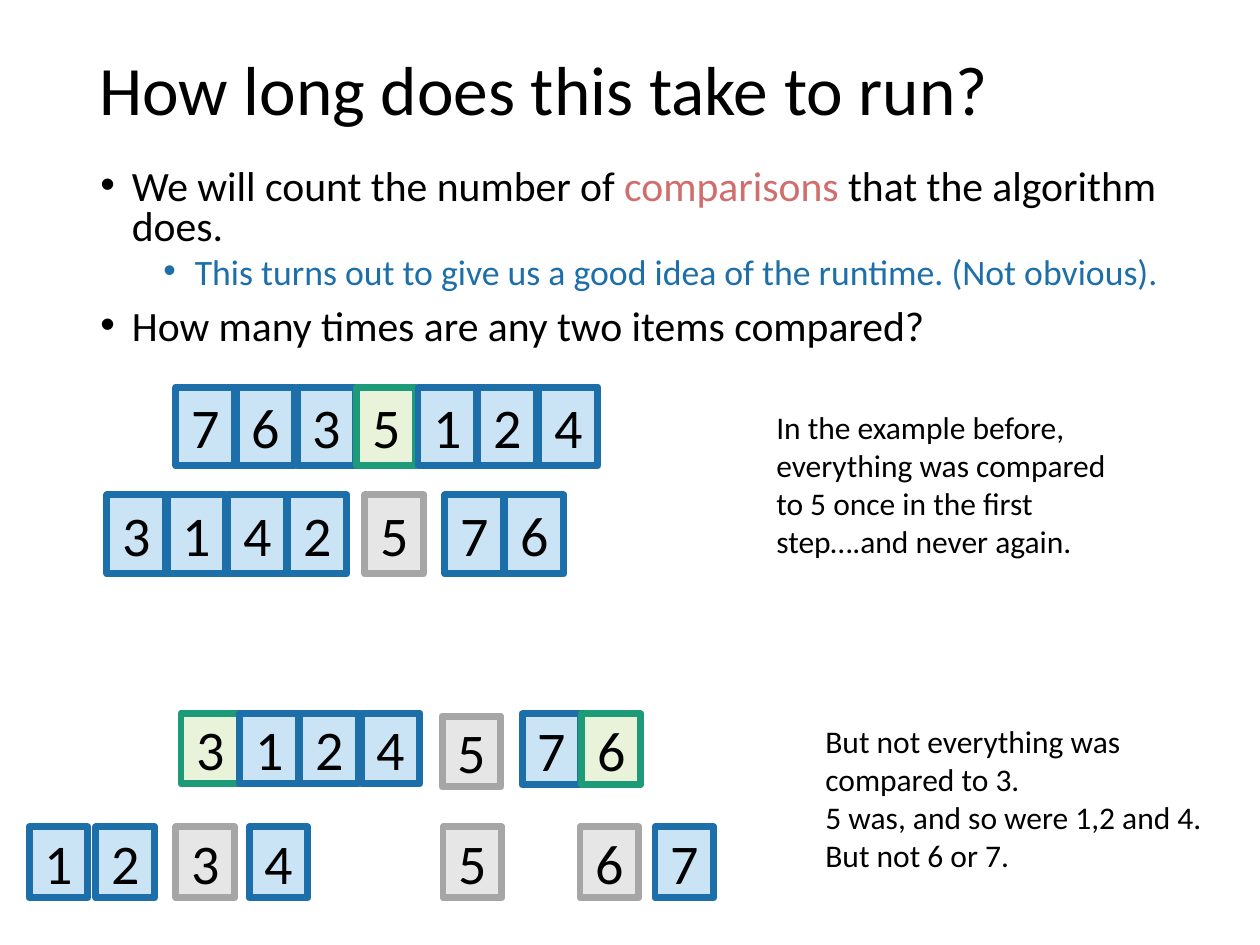
import pptx
import pptx.dml.color
import pptx.enum.shapes
import pptx.enum.text
import pptx.oxml.ns
import pptx.util
from lxml import etree

PX = 7257.6
THEME = {
    "font": "Calibri",
    "color": {"text": "000000", "accent": "CF6E6C", "note": "1D6FA9"},
    "cell": {
        "plain": ("CAE4F6", "1D6FA9"),
        "pivot": ("E8F3DA", "1D9A78"),
        "done": ("E7E6E6", "A6A6A6"),
    },
    "size": {"title": 39.6, "body": 23.8, "sub": 20.4, "cell": 32, "note": 18},
    "border": 4,
}

TITLE = "How long does this take to run?"
BULLETS = [
    (0, "body", [("We will count the number of ", "text"), ("comparisons", "accent"),
                 (" that the algorithm does.", "text")]),
    (1, "sub", [("This turns out to give us a good idea of the runtime. (Not obvious).", "note")]),
    (0, "body", [("How many times are any two items compared?", "text")]),
]
NOTES = [
    ((764, 402, 387, 165), ["In the example before, everything was compared to 5 once "
                            "in the first step….and never again."]),
    ((813, 716, 431, 165), ["But not everything was compared to 3.",
                            "5 was, and so were 1,2 and 4.", "But not 6 or 7."]),
]

CELL_W, PITCH = 59, 60.3
TALL, SHORT = 79, 71
ARRAYS = [
    (176, 387, TALL, "763", "plain"),
    (357, 387, TALL, "5", "pivot"),
    (418, 387, TALL, "124", "plain"),
    (107, 495, TALL, "3142", "plain"),
    (365, 495, TALL, "5", "done"),
    (445, 495, TALL, "76", "plain"),
    (181, 713, SHORT, "3", "pivot"),
    (240, 713, SHORT, "124", "plain"),
    (442, 716, SHORT, "5", "done"),
    (522, 714, SHORT, "7", "plain"),
    (582, 714, SHORT, "6", "pivot"),
    (29, 827, SHORT, "1", "plain"),
    (96, 827, SHORT, "2", "plain"),
    (176, 827, SHORT, "3", "done"),
    (249, 827, SHORT, "4", "plain"),
    (443, 827, SHORT, "5", "done"),
    (580, 827, SHORT, "6", "done"),
    (655, 827, SHORT, "7", "plain"),
]


def emu(*lengths):
    return [pptx.util.Emu(round(n * PX)) for n in lengths]


def rgb(value):
    return pptx.dml.color.RGBColor.from_string(value)


def add_run(p, text, size, color="text"):
    r = p.add_run()
    r.text = text
    r.font.name = THEME["font"]
    r.font.size = pptx.util.Pt(THEME["size"][size])
    r.font.color.rgb = rgb(THEME["color"][color])


def add_text(slide, box):
    tf = slide.shapes.add_textbox(*emu(*box)).text_frame
    tf.word_wrap = True
    return tf


def next_paragraph(tf, index):
    return tf.add_paragraph() if index else tf.paragraphs[0]


def add_bullet(p, level):
    p.level = level
    pPr = p._p.get_or_add_pPr()
    indent, margin = emu(31.5, 31.5 + 63 * level)
    pPr.set("marL", str(margin))
    pPr.set("indent", str(-indent))
    font = etree.SubElement(pPr, pptx.oxml.ns.qn("a:buFont"))
    font.set("typeface", "Arial")
    etree.SubElement(pPr, pptx.oxml.ns.qn("a:buChar")).set("char", "•")


def add_cell(slide, box, digit, kind):
    fill, line = THEME["cell"][kind]
    sp = slide.shapes.add_shape(pptx.enum.shapes.MSO_SHAPE.RECTANGLE, *emu(*box))
    sp.shadow.inherit = False
    sp.fill.solid()
    sp.fill.fore_color.rgb = rgb(fill)
    sp.line.color.rgb = rgb(line)
    sp.line.width = pptx.util.Pt(THEME["border"])
    tf = sp.text_frame
    tf.vertical_anchor = pptx.enum.text.MSO_ANCHOR.MIDDLE
    p = tf.paragraphs[0]
    p.alignment = pptx.enum.text.PP_ALIGN.CENTER
    add_run(p, digit, "cell")


def main():
    prs = pptx.Presentation()
    prs.slide_width, prs.slide_height = emu(1260, 945)
    slide = prs.slides.add_slide(prs.slide_layouts[6])

    tf = add_text(slide, (87, 50, 1086, 86))
    tf.vertical_anchor = pptx.enum.text.MSO_ANCHOR.MIDDLE
    tf.paragraphs[0].line_spacing = 0.9
    add_run(tf.paragraphs[0], TITLE, "title")

    tf = add_text(slide, (88, 163, 1086, 214))
    for i, (level, size, runs) in enumerate(BULLETS):
        p = next_paragraph(tf, i)
        add_bullet(p, level)
        p.line_spacing = 0.8
        if i:
            p.space_before = pptx.util.Pt(5 if level else 10)
        for text, color in runs:
            add_run(p, text, size, color)

    for left, top, height, digits, kind in ARRAYS:
        for i, digit in enumerate(digits):
            add_cell(slide, (round(left + i * PITCH), top, CELL_W, height), digit, kind)

    for box, lines in NOTES:
        tf = add_text(slide, box)
        for i, line in enumerate(lines):
            add_run(next_paragraph(tf, i), line, "note")

    prs.save("out.pptx")


if __name__ == "__main__":
    main()
